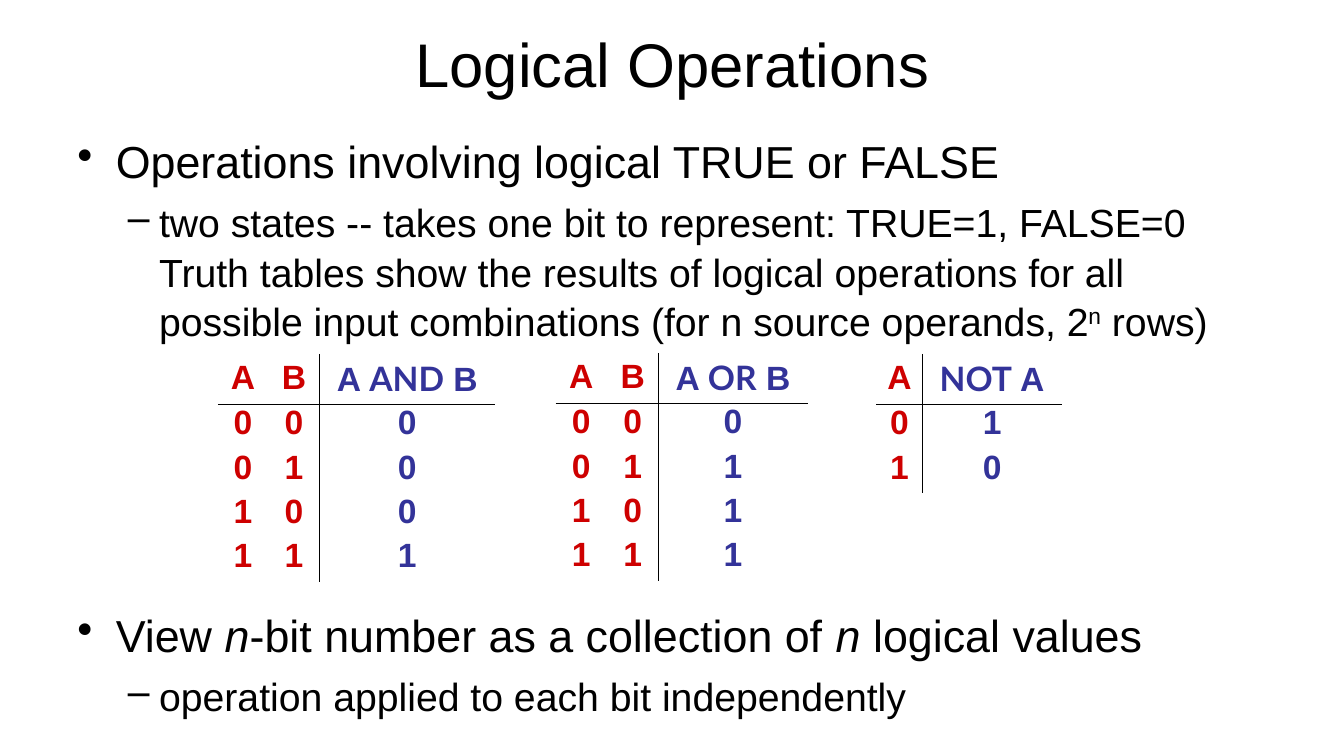
import pptx
import pptx.dml.color
import pptx.enum.text
import pptx.oxml.ns
import pptx.util
from lxml import etree

Inches = pptx.util.Inches
Pt = pptx.util.Pt
Align = pptx.enum.text.PP_ALIGN
Anchor = pptx.enum.text.MSO_ANCHOR
qn = pptx.oxml.ns.qn

COLORS = {"text": "000000", "input": "CE0000", "result": "333399"}
BULLET_LEVELS = [
    {"symbol": "•", "margin": 0.38, "hanging": 0.38, "size": 32},
    {"symbol": "–", "margin": 0.81, "hanging": 0.31, "size": 28},
]


class SlideBuilder:
    font = "Arial"
    operator_font = "Lato"

    def __init__(self, slide):
        self.slide = slide

    def style_run(self, run, size, color="text", font=None, bold=False, italic=False):
        run.font.name = font or self.font
        run.font.size = Pt(size)
        run.font.bold = bold
        run.font.italic = italic
        run.font.color.rgb = pptx.dml.color.RGBColor.from_string(COLORS[color])

    def text_frame(self, left, top, width, height, anchor):
        shape = self.slide.shapes.add_textbox(
            Inches(left), Inches(top), Inches(width), Inches(height))
        frame = shape.text_frame
        frame.word_wrap = True
        frame.vertical_anchor = anchor
        return frame

    def title(self, text, left, top, width, height):
        frame = self.text_frame(left, top, width, height, Anchor.MIDDLE)
        frame.text = text
        paragraph = frame.paragraphs[0]
        paragraph.alignment = Align.CENTER
        self.style_run(paragraph.runs[0], 44)

    def bullets(self, items, left, top, width, height):
        frame = self.text_frame(left, top, width, height, Anchor.TOP)
        for index, (level, space_before, pieces) in enumerate(items):
            paragraph = frame.paragraphs[0] if index == 0 else frame.add_paragraph()
            style = BULLET_LEVELS[level]
            properties = paragraph._p.get_or_add_pPr()
            properties.set("marL", str(Inches(style["margin"])))
            properties.set("indent", str(-Inches(style["hanging"])))
            bullet = etree.SubElement(properties, qn("a:buChar"))
            bullet.set("char", style["symbol"])
            paragraph.level = level
            paragraph.line_spacing = 1.05
            paragraph.space_before = Pt(space_before)
            for text, effect in pieces:
                if effect == "break":
                    paragraph.add_line_break()
                run = paragraph.add_run()
                run.text = text
                self.style_run(run, style["size"], italic=effect == "italic")
                if effect == "superscript":
                    run._r.get_or_add_rPr().set("baseline", "30000")

    def borders(self, cell, visible_sides):
        properties = cell._tc.get_or_add_tcPr()
        for side in "LRTB":
            line = etree.SubElement(properties, qn("a:ln" + side), w=str(Pt(1)))
            if side in visible_sides:
                fill = etree.SubElement(line, qn("a:solidFill"))
                etree.SubElement(fill, qn("a:srgbClr"), val=COLORS["text"])
            else:
                etree.SubElement(line, qn("a:noFill"))

    def truth_table(self, left, top, column_widths, heading, rows):
        result_column = len(column_widths) - 1
        row_heights = [0.5] + [0.44] * len(rows)
        table = self.slide.shapes.add_table(
            len(row_heights), len(column_widths), Inches(left), Inches(top),
            Inches(sum(column_widths)), Inches(sum(row_heights))).table
        table.first_row = False
        table.horz_banding = False
        for column, width in zip(table.columns, column_widths):
            column.width = Inches(width)
        for row, height in zip(table.rows, row_heights):
            row.height = Inches(height)
        header = [[name] for name in "AB"[:result_column]] + [heading]
        grid = [header] + [[[value] for value in row] for row in rows]
        for row_index, row in enumerate(grid):
            for column_index, pieces in enumerate(row):
                cell = table.cell(row_index, column_index)
                sides = {0: "B", 1: "T"}.get(row_index, "")
                sides += {result_column - 1: "R", result_column: "L"}.get(column_index, "")
                self.borders(cell, sides)
                cell.fill.background()
                paragraph = cell.text_frame.paragraphs[0]
                paragraph.alignment = Align.CENTER
                if row_index:
                    paragraph.line_spacing = 0.85
                color = "result" if column_index == result_column else "input"
                for text in pieces:
                    run = paragraph.add_run()
                    run.text = text
                    font = self.operator_font if text in ("AND", "OR", "NOT") else self.font
                    self.style_run(run, 24, color, font, bold=True)


def main():
    presentation = pptx.Presentation()
    presentation.slide_width = Inches(13.33)
    presentation.slide_height = Inches(7.5)
    builder = SlideBuilder(presentation.slides.add_slide(presentation.slide_layouts[6]))

    builder.title("Logical Operations", 2.42, 0, 8.5, 1.25)
    builder.bullets([
        (0, 0, [("Operations involving logical TRUE or FALSE", None)]),
        (1, 6.4, [
            ("two states -- takes one bit to represent: TRUE=1, FALSE=0", None),
            ("Truth tables show the results of logical operations for all "
             "possible input combinations (for n source operands, 2", "break"),
            ("n", "superscript"),
            (" rows)", None),
        ]),
        (0, 186, [
            ("View ", None),
            ("n", "italic"),
            ("-bit number as a collection of ", None),
            ("n", "italic"),
            (" logical values", None),
        ]),
        (1, 6.4, [("operation applied to each bit independently", None)]),
    ], 0.67, 1.25, 12, 5.82)

    builder.truth_table(2.16, 3.51, [0.5, 0.51, 1.74], ["A ", "AND", " B"],
                        ["000", "010", "100", "111"])
    builder.truth_table(5.51, 3.5, [0.51, 0.51, 1.48], ["A ", "OR", " B"],
                        ["000", "011", "101", "111"])
    builder.truth_table(8.69, 3.51, [0.46, 1.38], ["NOT", " A"], ["01", "10"])

    presentation.save("out.pptx")


if __name__ == "__main__":
    main()
